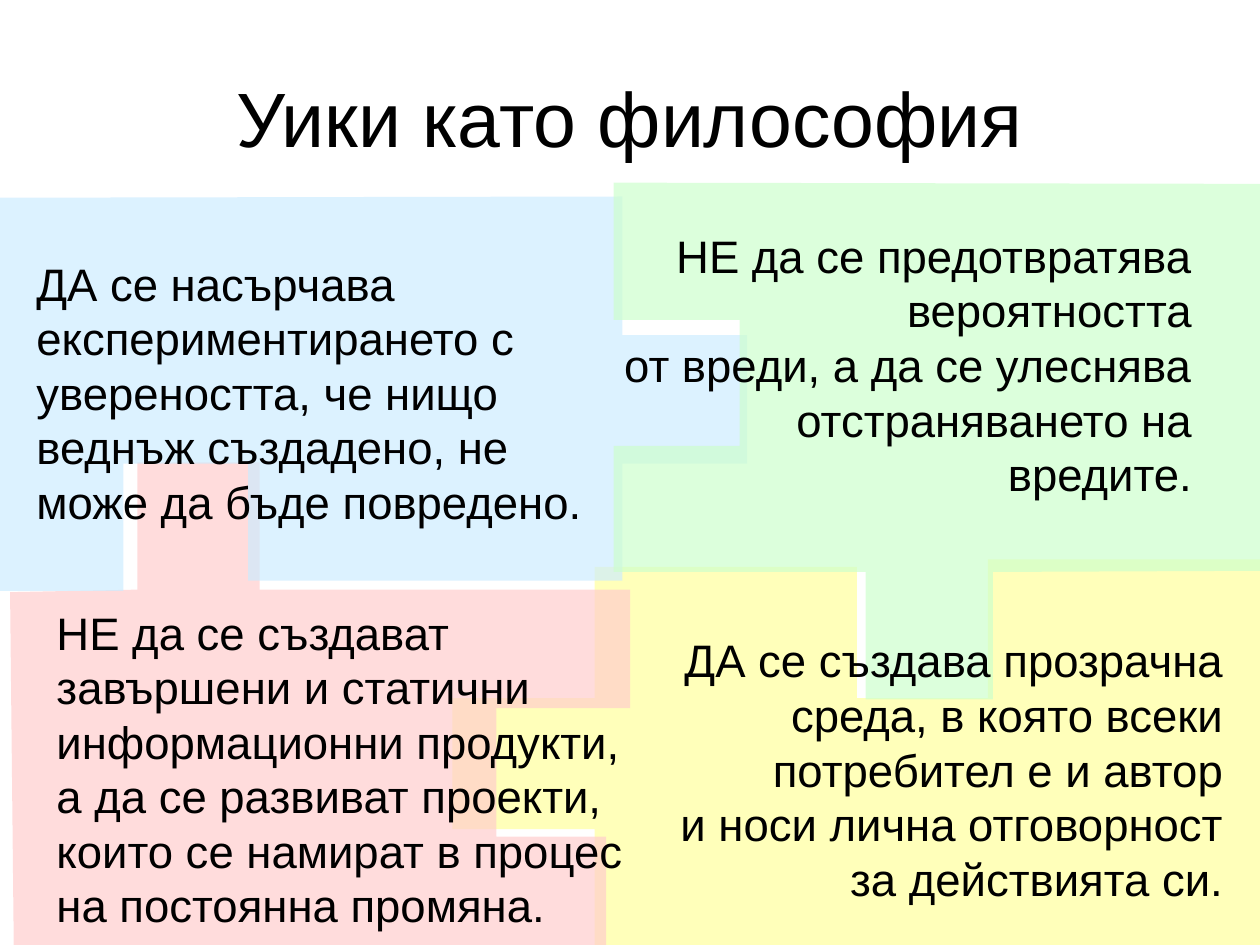
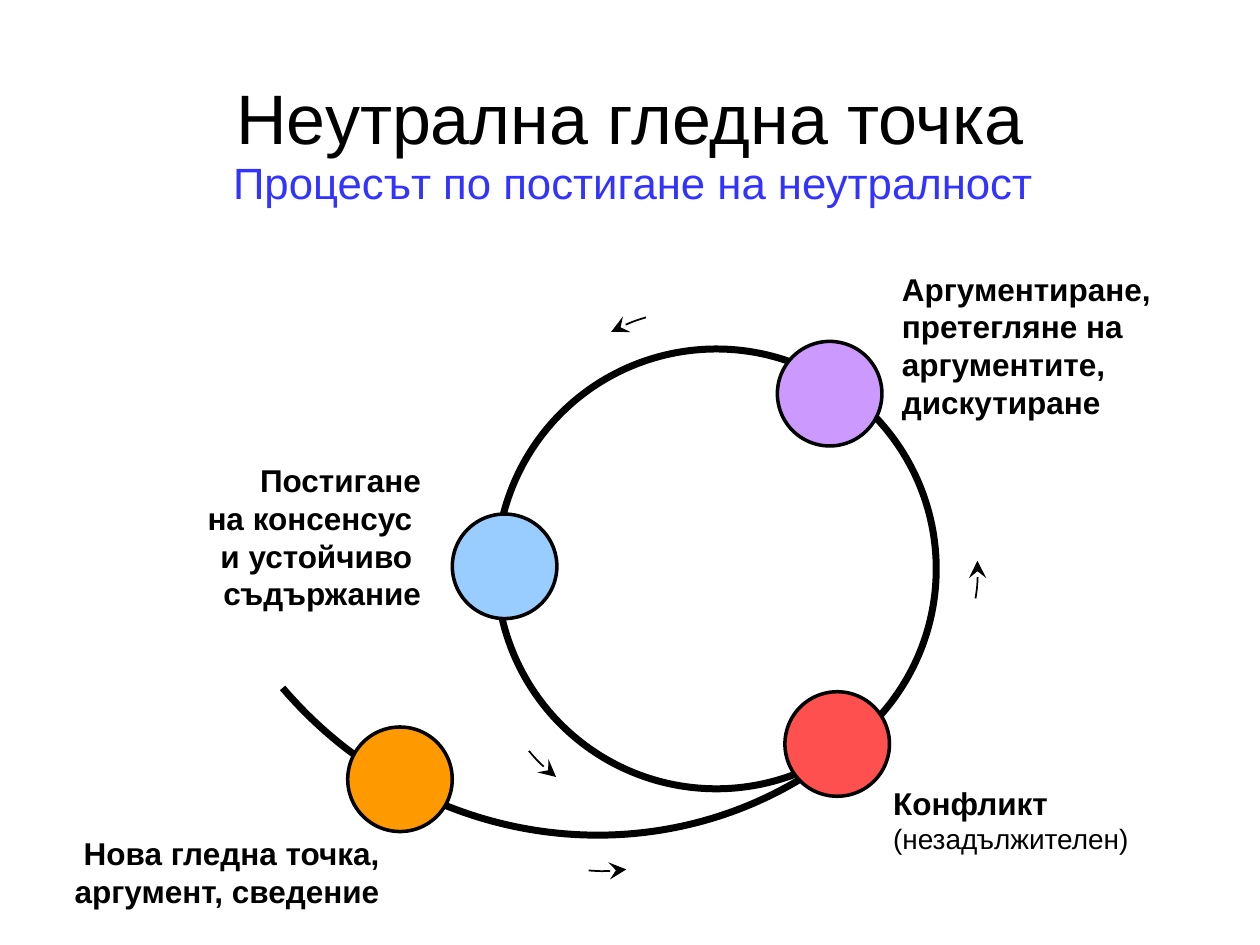
"""Build two slides about wiki philosophy and the neutral point of view."""
from dataclasses import dataclass

from lxml.etree import SubElement
from pptx import Presentation
from pptx.dml.color import RGBColor
from pptx.enum.shapes import MSO_SHAPE as Preset
from pptx.enum.text import MSO_ANCHOR as Anchor, PP_ALIGN as Align
from pptx.oxml.ns import qn
from pptx.util import Inches, Pt

FONT = "Arial"
BLACK = RGBColor(0x00, 0x00, 0x00)
SUBTITLE_BLUE = RGBColor(0x33, 0x33, 0xFF)
YELLOW = RGBColor(0xFF, 0xFF, 0x99)
PINK = RGBColor(0xFF, 0xCC, 0xCC)
SKY = RGBColor(0xCC, 0xEC, 0xFF)
MINT = RGBColor(0xCC, 0xFF, 0xCC)
ORANGE = RGBColor(0xFF, 0x99, 0x00)
RED = RGBColor(0xFF, 0x50, 0x50)
PURPLE = RGBColor(0xCC, 0x99, 0xFF)
BLUE = RGBColor(0x99, 0xCC, 0xFF)
PIECE_OPACITY = 67
STAGE_SIZE = 0.83
ARROW_SIZE = (1.16, 0.45)
ARC_START = 270
ARROW_END = 327
ADJUSTMENT_PER_DEGREE = 0.6

Point = tuple[float, float]
Box = tuple[float, float, float, float]


@dataclass(frozen=True)
class Piece:
    """A translucent puzzle piece."""
    color: RGBColor
    outline: list[Point]


@dataclass(frozen=True)
class Label:
    """A block of text in its box."""
    box: Box
    text: str
    align: Align = Align.LEFT


@dataclass(frozen=True)
class Stage:
    """A circle on the process loop."""
    left: float
    top: float
    color: RGBColor


@dataclass(frozen=True)
class Arrow:
    """A small curved arrow beside the loop."""
    left: float
    top: float
    rotation: float


PIECES = [
    Piece(YELLOW, [(10.14, 4.44), (7.84, 4.44), (7.84, 5.54), (6.8, 5.54),
                   (6.8, 4.5), (4.72, 4.5), (4.72, 5.54), (3.59, 5.54),
                   (3.59, 6.58), (4.72, 6.58), (4.72, 7.53), (10.16, 7.58)]),
    Piece(PINK, [(0.08, 4.7), (1.09, 4.68), (1.09, 3.67), (2.06, 3.67),
                 (2.06, 4.68), (5, 4.68), (5, 5.62), (3.94, 5.62),
                 (3.94, 6.64), (4.81, 6.64), (4.81, 7.56), (0.11, 7.57)]),
    Piece(SKY, [(-0.05, 1.57), (4.94, 1.56), (4.94, 2.66), (5.93, 2.66),
                (5.93, 3.68), (4.94, 3.68), (4.94, 4.61), (1.97, 4.61),
                (1.97, 3.68), (0.98, 3.68), (0.98, 4.69), (-0.05, 4.69)]),
    Piece(MINT, [(4.87, 1.45), (10.15, 1.46), (10.15, 4.53), (7.88, 4.54),
                 (7.88, 5.55), (6.87, 5.55), (6.87, 4.54), (4.87, 4.54),
                 (4.87, 3.54), (5.87, 3.54), (5.87, 2.54), (4.87, 2.54)]),
]
PRINCIPLES = [
    Label((0.19, 1.98, 4.65, 2.27),
          "ДА се насърчава експериментирането с увереността, че нищо "
          "веднъж създадено, не може да бъде повредено."),
    Label((4.83, 1.76, 4.73, 2.27),
          "НЕ да се предотвратява вероятността\nот вреди, а да се улеснява "
          "отстраняването на вредите.", Align.RIGHT),
    Label((0.35, 4.75, 4.9, 2.7),
          "НЕ да се създават завършени и статични информационни продукти, "
          "а да се развиват проекти, които се намират в процес на постоянна "
          "промяна."),
    Label((5.08, 4.97, 4.73, 2.27),
          "ДА се създава прозрачна среда, в която всеки потребител е и автор\n"
          "и носи лична отговорност за действията си.", Align.RIGHT),
]
STAGES = [Stage(2.76, 5.77, ORANGE), Stage(6.23, 5.49, RED),
          Stage(6.17, 2.71, PURPLE), Stage(3.59, 4.08, BLUE)]
STAGE_LABELS = [
    Label((0.35, 6.57, 2.76, 0.7), "Нова гледна точка, аргумент, сведение",
          Align.RIGHT),
    Label((1.18, 3.61, 2.26, 1.3),
          "Постигане\nна консенсус \nи устойчиво \nсъдържание", Align.RIGHT),
    Label((7.06, 2.09, 2.84, 1.3),
          "Аргументиране,\nпретегляне на аргументите, дискутиране"),
]
CONFLICT = Label((6.99, 6.17, 2.31, 0.67), "Конфликт\n(незадължителен)")
SUBTITLE = Label((0.52, 0.82, 9, 1.25), "Процесът по постигане на неутралност",
                 Align.CENTER)
LOOP_BOX = (3.94, 2.77, 3.49, 3.49)
ENTRY_BOX = (1.49, 0.16, 6.31, 6.51)
ENTRY_ROTATION = 139.6
ARROWS = [Arrow(4.11, 6.46, 4.5), Arrow(6.94, 4.49, 279),
          Arrow(4.61, 2.51, 163.5), Arrow(3.79, 5.59, 49.9)]


def write_text(frame, text: str, *, size: float, color=BLACK, bold=False,
               align=Align.LEFT, before: float = 0):
    """Write one formatted paragraph and return it."""
    paragraph = frame.paragraphs[0]
    paragraph.text = text
    paragraph.alignment = align
    paragraph.space_before = Pt(before)
    for run in paragraph.runs:
        run.font.name = FONT
        run.font.size = Pt(size)
        run.font.bold = bold
        run.font.color.rgb = color
    return paragraph


def add_label(slide, label: Label, *, anchor=Anchor.TOP, **text_format):
    """Add a wrapped text box and return its paragraph."""
    frame = slide.shapes.add_textbox(*map(Inches, label.box)).text_frame
    frame.word_wrap = True
    frame.vertical_anchor = anchor
    return write_text(frame, label.text, align=label.align, **text_format)


def add_titled_slide(presentation, title: str, size: float):
    """Add a slide with the shared title style."""
    slide = presentation.slides.add_slide(presentation.slide_layouts[5])
    shape = slide.shapes.title
    shape.left, shape.top, shape.width, shape.height = map(
        Inches, (0.5, 0.3, 9, 1.25))
    shape.text_frame.vertical_anchor = Anchor.MIDDLE
    write_text(shape.text_frame, title, size=size, align=Align.CENTER)
    return slide


def add_piece(slide, piece: Piece) -> None:
    """Draw a translucent puzzle piece."""
    start, *corners = [(Inches(x), Inches(y)) for x, y in piece.outline]
    builder = slide.shapes.build_freeform(*start)
    builder.add_line_segments(corners, close=True)
    shape = builder.convert_to_shape()
    shape.shadow.inherit = False
    shape.fill.solid()
    shape.fill.fore_color.rgb = piece.color
    shape.line.fill.background()
    color = shape._element.spPr.find(f"{qn('a:solidFill')}/{qn('a:srgbClr')}")
    SubElement(color, qn("a:alpha"), val=str(PIECE_OPACITY * 1000))


def add_outline(slide, preset: Preset, box: Box, *, width: float, color=None):
    """Draw a black outline, filled when a color is given."""
    shape = slide.shapes.add_shape(preset, *map(Inches, box))
    shape.shadow.inherit = False
    shape.line.color.rgb = BLACK
    shape.line.width = Pt(width)
    if color is None:
        shape.fill.background()
    else:
        shape.fill.solid()
        shape.fill.fore_color.rgb = color
    return shape


def add_arrow(slide, arrow: Arrow) -> None:
    """Draw a curved arrow as a flipped arc with a stealth head."""
    box = (arrow.left, arrow.top, *ARROW_SIZE)
    shape = add_outline(slide, Preset.ARC, box, width=1)
    for index, angle in enumerate((ARC_START, ARROW_END)):
        shape.adjustments[index] = angle * ADJUSTMENT_PER_DEGREE
    shape.rotation = arrow.rotation
    shape._element.spPr.find(qn("a:xfrm")).set("flipV", "1")
    line = shape._element.spPr.find(qn("a:ln"))
    SubElement(line, qn("a:tailEnd"), type="stealth", w="lg", len="lg")


def build_philosophy(presentation) -> None:
    """Build the puzzle of four principles."""
    slide = add_titled_slide(presentation, "Уики като философия", 44)
    for piece in PIECES:
        add_piece(slide, piece)
    for principle in PRINCIPLES:
        add_label(slide, principle, size=26, before=6.5)


def build_neutrality(presentation) -> None:
    """Build the loop that leads to neutrality."""
    slide = add_titled_slide(presentation, "Неутрална гледна точка", 40)
    add_outline(slide, Preset.OVAL, LOOP_BOX, width=4)
    entry = add_outline(slide, Preset.ARC, ENTRY_BOX, width=4)
    entry.rotation = ENTRY_ROTATION
    for stage in STAGES:
        box = (stage.left, stage.top, STAGE_SIZE, STAGE_SIZE)
        add_outline(slide, Preset.OVAL, box, width=2, color=stage.color)
    for label in STAGE_LABELS:
        add_label(slide, label, size=18, bold=True, before=11.2)
    conflict = add_label(slide, CONFLICT, size=18, bold=True, before=10)
    remark = conflict.runs[1].font
    remark.size, remark.bold = Pt(16), False
    for arrow in ARROWS:
        add_arrow(slide, arrow)
    add_label(slide, SUBTITLE, anchor=Anchor.MIDDLE, size=25,
              color=SUBTITLE_BLUE)


def main() -> None:
    """Build and save the presentation."""
    presentation = Presentation()
    presentation.slide_width = Inches(10)
    presentation.slide_height = Inches(7.5)
    build_philosophy(presentation)
    build_neutrality(presentation)
    presentation.save("out.pptx")


if __name__ == "__main__":
    main()
